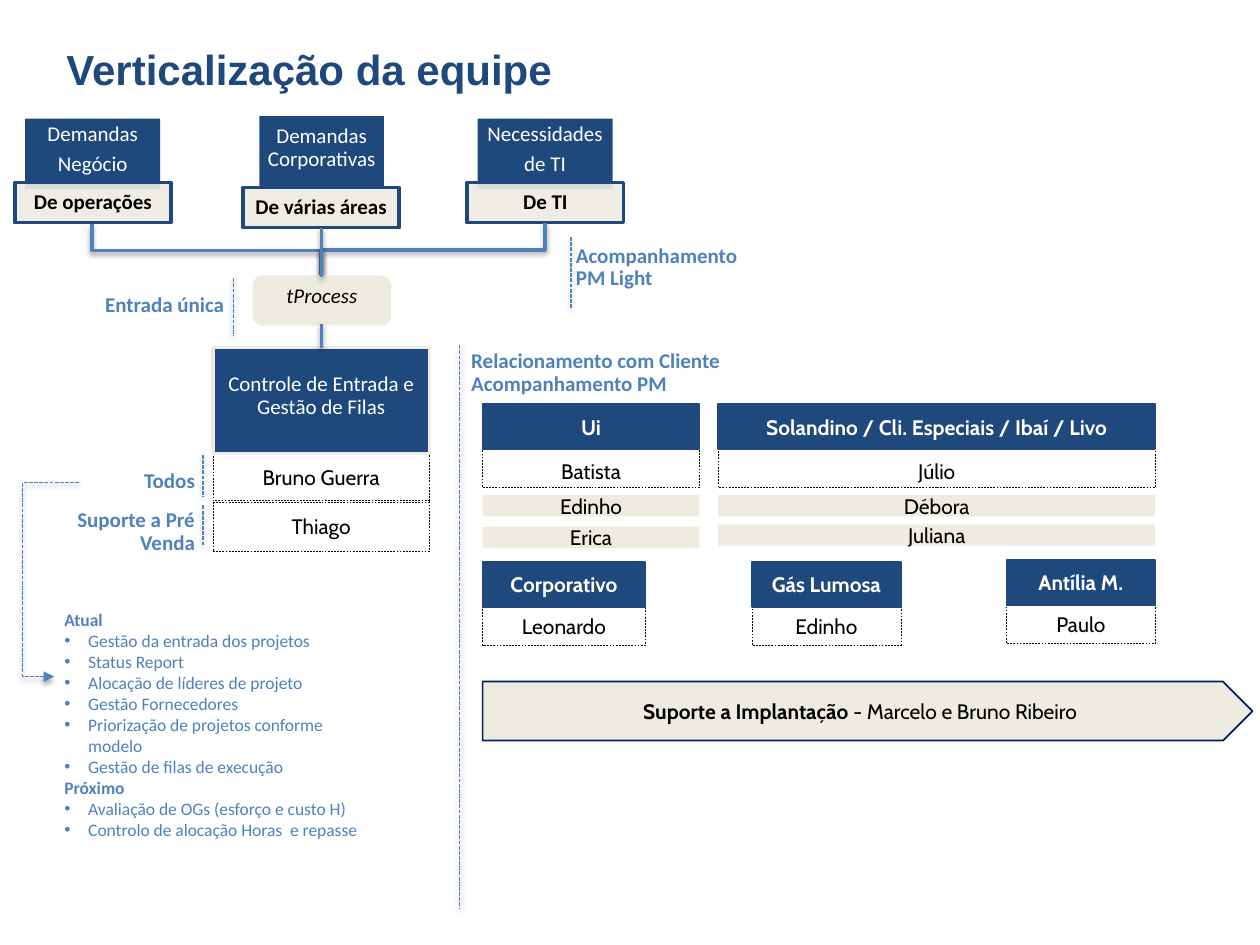
from lxml import etree
from pptx import Presentation
from pptx.dml.color import RGBColor
from pptx.enum.dml import MSO_LINE
from pptx.enum.shapes import MSO_CONNECTOR, MSO_SHAPE
from pptx.enum.text import MSO_ANCHOR, PP_ALIGN
from pptx.oxml import parse_xml
from pptx.oxml.ns import nsdecls, qn
from pptx.util import Cm, Pt

RECT, ROUND, PLATE = MSO_SHAPE.RECTANGLE, MSO_SHAPE.ROUNDED_RECTANGLE, MSO_SHAPE.PENTAGON
LEFT, MID, RIGHT = PP_ALIGN.LEFT, PP_ALIGN.CENTER, PP_ALIGN.RIGHT
TOP, CENTRE = MSO_ANCHOR.TOP, MSO_ANCHOR.MIDDLE
STRAIGHT, ELBOW = MSO_CONNECTOR.STRAIGHT, MSO_CONNECTOR.ELBOW
DOTS, DASH = MSO_LINE.SQUARE_DOT, MSO_LINE.DASH


class Theme:
    navy = RGBColor(0x1F, 0x49, 0x7D)
    blue = RGBColor(0x4F, 0x81, 0xBD)
    cream = RGBColor(0xEE, 0xEC, 0xE1)
    deep = RGBColor(0x00, 0x20, 0x60)
    white = RGBColor(0xFF, 0xFF, 0xFF)
    black = RGBColor(0, 0, 0)
    title, body, small = Pt(24), Pt(12), Pt(10)


deck = Presentation()
deck.slide_width, deck.slide_height = Cm(25.4), Cm(19.05)
slide = deck.slides.add_slide(deck.slide_layouts[6])
shapes = slide.shapes


def box(at, runs, kind=RECT, fill=None, edge=None, thick=1, dash=None,
        ink=Theme.black, face="Cabin", size=Theme.body, bold=False, italic=False,
        align=MID, anchor=CENTRE, pad=(0, 0, 0, 0), tight=False, after=0):
    """Draw a text box (kind None) or a shape; runs is a list of paragraphs."""
    place = [Cm(n) for n in at]
    if kind is None:
        shape = shapes.add_textbox(*place)
    else:
        shape = shapes.add_shape(kind, *place)
        shape.shadow.inherit = False
        if fill is None:
            shape.fill.background()
        else:
            shape.fill.solid()
            shape.fill.fore_color.rgb = fill
        if edge is None:
            shape.line.fill.background()
        else:
            shape.line.color.rgb = edge
            shape.line.width = Pt(thick)
            shape.line.dash_style = dash
    frame = shape.text_frame
    frame.word_wrap = True
    frame.vertical_anchor = anchor
    frame.margin_left, frame.margin_top, frame.margin_right, frame.margin_bottom = map(Cm, pad)
    for i, line in enumerate(runs):
        para = frame.paragraphs[0] if i == 0 else frame.add_paragraph()
        para.alignment = align
        if tight:
            para.line_spacing = 0.9
            para.space_after = Pt(after)
        run = para.add_run()
        run.text = line
        font = run.font
        font.name, font.size, font.bold, font.italic = face, size, bold, italic
        font.color.rgb = ink
    return shape


def link(x1, y1, x2, y2, kind=STRAIGHT, thick=2, dash=None):
    """Draw a blue connector with a soft shadow below it."""
    line = shapes.add_connector(kind, Cm(x1), Cm(y1), Cm(x2), Cm(y2))
    line.line.color.rgb = Theme.blue
    line.line.width = Pt(thick)
    line.line.dash_style = dash
    line._element.spPr.append(parse_xml(
        f'<a:effectLst {nsdecls("a")}><a:outerShdw blurRad="40000" dist="20000" '
        'dir="5400000" rotWithShape="0"><a:srgbClr val="000000">'
        '<a:alpha val="38000"/></a:srgbClr></a:outerShdw></a:effectLst>'))
    return line


base = dict(face="Calibri", tight=True, after=4)
solid = dict(base, fill=Theme.navy, ink=Theme.white, pad=(0.03, 0.03, 0.03, 0.2))
tag = dict(base, fill=Theme.cream, edge=Theme.navy, thick=2, bold=True,
           pad=(0.08, 0.03, 0.08, 0.03))
note = dict(base, kind=None, ink=Theme.blue, bold=True, after=6,
            pad=(0.08, 0.03, 0.08, 0.03))
name = dict(edge=Theme.black, thick=0.25, dash=DASH, pad=(0.2, 0.2, 0.2, 0.2))
head = dict(fill=Theme.navy, edge=Theme.navy, ink=Theme.white, bold=True,
            pad=(0.25, 0.13, 0.25, 0.13))

box((1.09, 0, 18.52, 2.79), ["Verticalização da equipe"], None, ink=Theme.navy,
    face="Arial", size=Theme.title, bold=True, align=LEFT, pad=(0.25, 0.13, 0.25, 0.13))

# Sources of demand
demands = [
    ((0.51, 2.39, 2.72, 1.42), ["Demandas", "Negócio"], (0.3, 3.68), "De operações"),
    ((5.23, 2.34, 2.51, 1.47), ["Demandas Corporativas"], (4.9, 3.78), "De várias áreas"),
    ((9.63, 2.39, 2.72, 1.42), ["Necessidades", "de TI"], (9.42, 3.68), "De TI"),
]
for at, lines, spot, area in demands:
    box(at, lines, **solid)
    card = box((*spot, 3.15, 0.81), [area], **tag)
    tint = card._element.spPr.find(qn("a:solidFill"))[0]
    etree.SubElement(tint, qn("a:alpha")).set("val", "90000")

# Single entry and queue control
for y, person in [(9.09, "Bruno Guerra"), (10.08, "Thiago")]:
    box((4.29, y, 4.37, 1.04), [person], **name)
box((4.29, 7.01, 4.37, 2.13), ["Controle de Entrada e Gestão de Filas"],
    edge=Theme.cream, thick=2, **solid)

for ends, turn in [((4.7, 2.74, 3.63, 7.36), 270), ((8.2, 2.79, 9.27, 7.29), 90)]:
    bend = link(*ends, kind=ELBOW)
    bend._element.spPr.find(qn("a:xfrm")).set("rot", str(turn * 60000))
box((5.13, 5.59, 2.72, 0.94), ["tProcess"], ROUND, fill=Theme.cream, edge=Theme.cream,
    thick=2, italic=True, pad=(0.03, 0.03, 0.03, 0.2), **base)
for y1, y2 in [(4.6, 5.59), (6.53, 7.01)]:
    link(6.48, y1, 6.48, y2)

# Side notes and their dotted rules
for x, y1, y2 in [(4.7, 5.61, 6.76), (4.09, 9.17, 10.01), (4.09, 10.19, 11),
                  (9.27, 6.96, 18.31), (11.51, 4.78, 6.2)]:
    link(x, y1, x, y2, thick=0.75, dash=DOTS)
notes = [
    ((1.3, 5.56, 3.3, 1.19), "Entrada única", RIGHT),
    ((1.6, 9.12, 2.41, 1.19), "Todos", RIGHT),
    ((0.71, 10.13, 3.3, 1.19), "Suporte a Pré Venda", RIGHT),
    ((9.42, 6.96, 8.28, 1.12), "Relacionamento com Cliente Acompanhamento PM", LEFT),
    ((11.53, 4.8, 3.76, 1.19), "Acompanhamento PM Light", LEFT),
]
for at, words, side in notes:
    box(at, [words], align=side, **note)

# Client teams
teams = [
    (9.73, 8.15, 4.37, "Ui", "Batista", TOP, [(9.98, "Edinho"), (10.62, "Erica")]),
    (14.48, 8.15, 8.81, "Solandino / Cli. Especiais / Ibaí / Livo", "Júlio", TOP,
     [(9.98, "Débora"), (10.57, "Juliana")]),
    (9.73, 11.33, 3.28, "Corporativo", "Leonardo", CENTRE, []),
    (15.16, 11.33, 3, "Gás Lumosa", "Edinho", CENTRE, []),
    (20.29, 11.29, 3, "Antília M.", "Paulo", CENTRE, []),
]
for x, y, wide, client, lead, anchor, staff in teams:
    box((x, y + 0.89, wide, 0.79), [lead], anchor=anchor, **name)
    box((x, y, wide, 0.91), [client], **head)
    for row, person in staff:
        box((x, row, wide, 0.43), [person], fill=Theme.cream)

plate = box((9.73, 13.74, 15.52, 1.19), ["Suporte a Implantação"], PLATE,
            fill=Theme.cream, edge=Theme.deep, bold=True)
crew = plate.text_frame.paragraphs[0].add_run()
crew.text = " - Marcelo e Bruno Ribeiro"
crew.font.name, crew.font.size, crew.font.bold = "Cabin", Theme.body, False
crew.font.color.rgb = Theme.black

# Duties, now and next
duties = ["Atual", "Gestão da entrada dos projetos", "Status Report",
          "Alocação de líderes de projeto", "Gestão Fornecedores",
          "Priorização de projetos conforme modelo", "Gestão de filas de execução",
          "Próximo", "Avaliação de OGs (esforço e custo H)",
          "Controlo de alocação Horas  e repasse"]
plan = box((1.3, 11.71, 6.07, 5.79), duties, None, ink=Theme.blue, face="Calibri",
           size=Theme.small, align=LEFT)
for para in plan.text_frame.paragraphs:
    if para.text in ("Atual", "Próximo"):
        para.runs[0].font.bold = True
        continue
    props = para._p.get_or_add_pPr()
    props.set("marL", str(Cm(0.48)))
    props.set("indent", str(-Cm(0.48)))
    etree.SubElement(props, qn("a:buFont")).set("typeface", "Arial")
    etree.SubElement(props, qn("a:buChar")).set("char", "•")

arrow = link(1.6, 9.73, 1.09, 13.64, ELBOW, 0.75, DOTS)
guide = etree.SubElement(arrow._element.spPr.find(qn("a:prstGeom")).find(qn("a:avLst")),
                         qn("a:gd"))
guide.set("name", "adj1")
guide.set("fmla", "val 224000")
etree.SubElement(arrow.line._get_or_add_ln(), qn("a:tailEnd")).set("type", "triangle")

deck.save("out.pptx")
